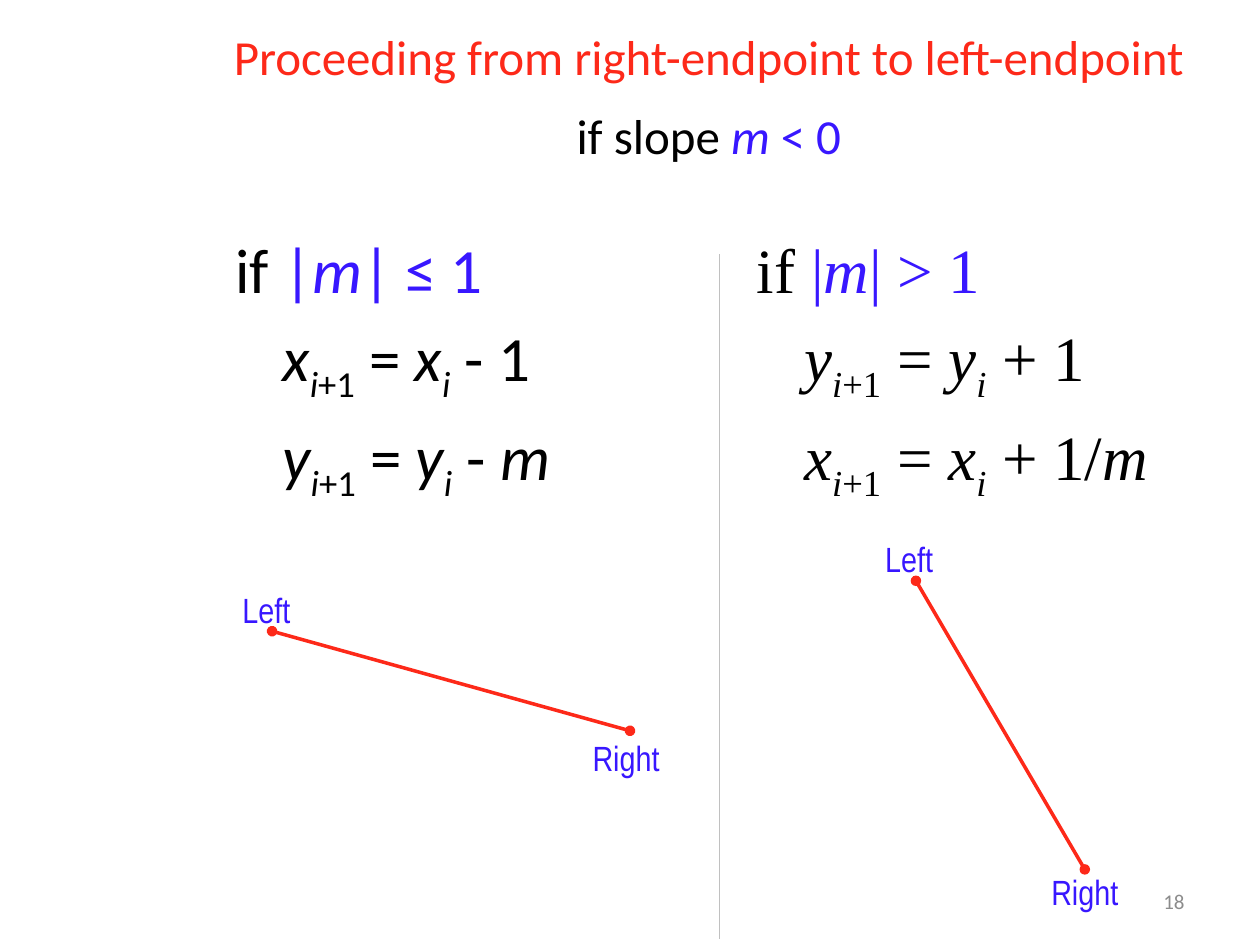
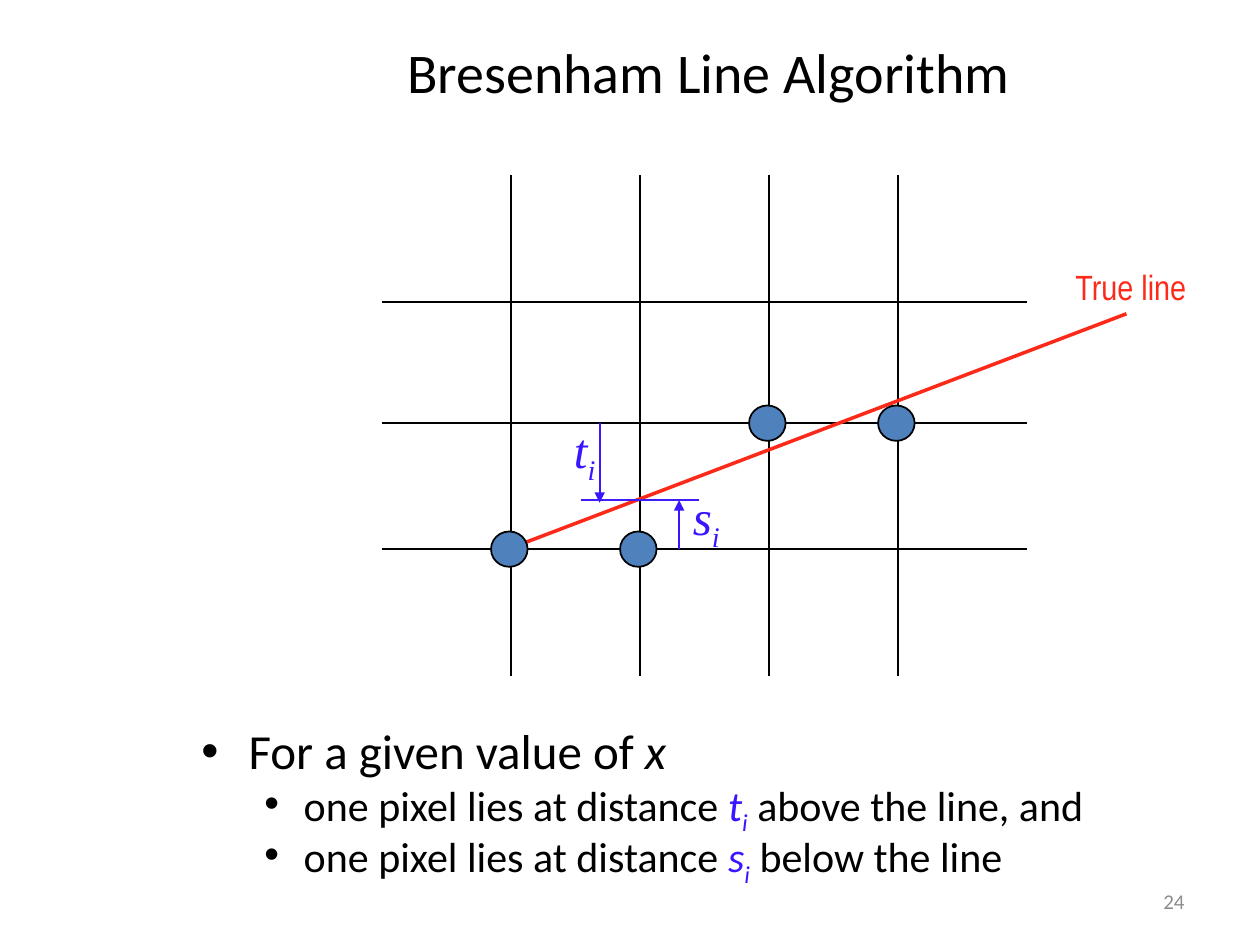
import pptx
import pptx.dml.color
import pptx.enum.shapes
import pptx.enum.text
import pptx.oxml
import pptx.oxml.ns
import pptx.util
from lxml import etree

Pt = pptx.util.Pt
ALIGN = pptx.enum.text.PP_ALIGN
ANCHOR = pptx.enum.text.MSO_ANCHOR
SHAPE = pptx.enum.shapes.MSO_SHAPE

BLACK, RED, BLUE, GREY = "000000", "FD2919", "3817FF", "8C8C8C"
DIVIDER, LEVEL_BLUE, DOT_FILL = "C0C0C0", "3D1EF8", "4F81BD"
BODY_FONT, MATH_FONT, LABEL_FONT = "Calibri", "Times New Roman", "Arial Narrow"
NO_GRID_STYLE = "{2D5ABB26-0587-4C30-8999-92F81FD0307C}"

# Pixel grid of the second slide
GRID_LEFT, GRID_TOP, COLUMN = 218.2, 100, 73.73
ROWS = [72.5, 69.3, 72, 72.7]


def rgb(color):
    """Turn a hex string into a colour."""
    return pptx.dml.color.RGBColor.from_string(color)


def sub(parent, tag, **attrs):
    """Append a drawing element with attributes to a parent."""
    return etree.SubElement(parent, pptx.oxml.ns.qn("a:" + tag), attrs)


def add_runs(p, runs, size, font):
    """Add (text, flags, colour) runs; flag i is italic, s is subscript."""
    for text, flags, color in runs:
        r = p.add_run()
        r.text = text
        r.font.size, r.font.name = Pt(size), font
        r.font.italic = "i" in flags
        r.font.color.rgb = rgb(color)
        if "s" in flags:
            r._r.get_or_add_rPr().set("baseline", "-25000")


def add_box(s, left, top, width, height, anchor=ANCHOR.TOP):
    """Add an empty wrapping text box and return its text frame."""
    tf = s.shapes.add_textbox(Pt(left), Pt(top), Pt(width), Pt(height)).text_frame
    tf.word_wrap = True
    tf.vertical_anchor = anchor
    return tf


def add_paragraph(tf, index, runs, size, font=BODY_FONT, margin=0, indent=0):
    """Fill the paragraph at an index, adding it after the first one."""
    p = tf.paragraphs[0] if index == 0 else tf.add_paragraph()
    pPr = p._p.get_or_add_pPr()
    pPr.set("marL", str(Pt(margin)))
    pPr.set("indent", str(Pt(indent)))
    add_runs(p, runs, size, font)
    return p


def add_title(s, lines, size, height):
    """Add the centred title, one paragraph for each line."""
    tf = add_box(s, 108, 9.4, 594, height, ANCHOR.MIDDLE)
    for i, runs in enumerate(lines):
        p = add_paragraph(tf, i, runs, size)
        p.alignment = ALIGN.CENTER
        p.space_before = Pt(11.5 if i else 0)


def add_page_number(s, number):
    """Add the page number at the bottom right."""
    tf = add_box(s, 516.2, 500.4, 167.8, 28.8, ANCHOR.MIDDLE)
    p = add_paragraph(tf, 0, [(number, "", GREY)], 12)
    p.alignment = ALIGN.RIGHT


def add_label(s, left, top, width, height, runs, size=20, font=LABEL_FONT):
    """Add a centred label that does not wrap."""
    tf = add_box(s, left, top, width, height)
    tf.word_wrap = False
    tf.auto_size = pptx.enum.text.MSO_AUTO_SIZE.SHAPE_TO_FIT_TEXT
    add_paragraph(tf, 0, runs, size, font).alignment = ALIGN.CENTER


def add_line(s, start, end, color, width=1, head=None, tail=None):
    """Add a straight line with optional end marks."""
    c = s.shapes.add_connector(pptx.enum.shapes.MSO_CONNECTOR.STRAIGHT,
                               *map(Pt, start + end))
    c.line.color.rgb = rgb(color)
    c.line.width = Pt(width)
    ln = c.line._get_or_add_ln()
    for tag, mark in (("headEnd", head), ("tailEnd", tail)):
        if mark:
            sub(ln, tag, type=mark)
    sub(c._element.spPr, "effectLst")


def add_dot(s, x, y):
    """Add a pixel dot centred on a point."""
    w, h = 20.9, 20.2
    sp = s.shapes.add_shape(SHAPE.OVAL, Pt(x - w / 2), Pt(y - h / 2), Pt(w), Pt(h))
    sp.shadow.inherit = False
    sp.fill.solid()
    sp.fill.fore_color.rgb = rgb(DOT_FILL)
    sp.line.color.rgb = rgb(BLACK)
    sp.line.width = Pt(1)


def add_grid(s):
    """Add the pixel grid: a table with inner borders only."""
    rows, cols = len(ROWS), 5
    frame = s.shapes.add_table(rows, cols, Pt(GRID_LEFT), Pt(GRID_TOP),
                               Pt(cols * COLUMN), Pt(sum(ROWS)))
    table = frame.table
    table.first_row = table.horz_banding = False
    table._tbl.tblPr[0].text = NO_GRID_STYLE
    for col in table.columns:
        col.width = Pt(COLUMN)
    for i, height in enumerate(ROWS):
        table.rows[i].height = Pt(height)
        for j in range(cols):
            cell = table.cell(i, j)
            tcPr = cell._tc.get_or_add_tcPr()
            inner = {"lnL": j > 0, "lnR": j < cols - 1,
                     "lnT": i > 0, "lnB": i < rows - 1}
            for tag, shown in inner.items():
                ln = sub(tcPr, tag, w=str(Pt(1)))
                if shown:
                    sub(sub(ln, "solidFill"), "srgbClr", val=BLACK)
                else:
                    sub(ln, "noFill")
            cell.fill.background()


def step(var, rest):
    """Return the runs of a recurrence: next var = var plus the rest."""
    runs = [(var, "i"), ("i", "is"), ("+1", "s"), (" = ", ""), (var, "i"), ("i", "is")]
    return [(text, flags, BLACK) for text, flags in runs + rest]


def add_case(s, left, width, font, condition, steps):
    """Add a condition on the slope with its recurrences below."""
    tf = add_box(s, left, 128.2, width, 190)
    head = [("if ", "", BLACK), ("|", "", BLUE), ("m", "i", BLUE),
            (condition, "", BLUE)]
    for i, runs in enumerate([head] + steps):
        p = add_paragraph(tf, i, runs, 36, font, margin=27 if i else 0)
        p.space_before = Pt(7.2)


def add_segment(s, start, end, left_label, right_label):
    """Add a line segment with its named endpoints."""
    add_line(s, start, end, RED, 2, "oval", "oval")
    add_label(s, *left_label, 43.9, 31, [("Left", "", BLUE)])
    add_label(s, *right_label, 57.6, 31, [("Right", "", BLUE)])


def add_bullets(s, items):
    """Add bulleted text from (level, runs) pairs."""
    tf = add_box(s, 108, 411.8, 599.8, 116.6)
    for i, (level, runs) in enumerate(items):
        size, margin, indent = [(28, 27, -27), (24, 58.5, -22.5)][level]
        p = add_paragraph(tf, i, runs, size, margin=margin, indent=indent)
        p.level = level
        p.line_spacing = 0.9
        pPr = p._p.get_or_add_pPr()
        sub(pPr, "buFont", typeface="Arial")
        sub(pPr, "buChar", char="•")


def indexed(var):
    """Return the runs of a blue variable with subscript i."""
    return [(var, "i", BLUE), ("i", "is", BLUE)]


def distance(var, place):
    """Return the runs of a sentence about a pixel distance."""
    return [("one pixel lies at distance ", "", BLACK), *indexed(var),
            (place, "", BLACK)]


def build_slope_slide(s):
    """Build the slide on lines with negative slope."""
    add_title(s, [[("Proceeding from right-endpoint to left-endpoint", "", RED)],
                  [("if slope ", "", BLACK), ("m ", "i", BLUE), ("< 0", "", BLUE)]],
              28, 90)
    add_case(s, 127.4, 277.9, BODY_FONT, "| ≤ 1 ",
             [step("x", [(" - 1", "")]), step("y", [(" - ", ""), ("m", "i")])])
    add_page_number(s, "18")
    add_case(s, 425.5, 263.5, MATH_FONT, "| > 1 ",
             [step("y", [(" + 1", "")]), step("x", [(" + 1/", ""), ("m", "i")])])
    add_segment(s, (155.5, 360.7), (360, 417.6), (130.3, 332.6), (329, 417.6))
    add_segment(s, (523.4, 331.9), (619.9, 496.8), (497.5, 303.8), (591.1, 493.9))
    add_line(s, (411.1, 145.4), (411.1, 536.4), DIVIDER)


def build_algorithm_slide(s):
    """Build the slide with the pixel grid and the true line."""
    add_title(s, [[("Bresenham Line Algorithm", "", BLACK)]], 32, 62.6)
    add_bullets(s, [(0, [("For a given value of ", "", BLACK), ("x", "i", BLACK)]),
                    (1, distance("t", " above the line, and")),
                    (1, distance("s", " below the line"))])
    add_page_number(s, "24")
    add_grid(s)

    upper, lower = GRID_TOP + sum(ROWS[:2]), GRID_TOP + sum(ROWS[:3])
    crossing = 285.8
    add_line(s, (290.2, lower), (643.7, 179.3), RED, 2)
    add_label(s, 602.6, 148.3, 87.1, 31, [("True line", "", RED)])
    add_label(s, 388.1, 274.3, 31, 41, indexed("s"), 28, MATH_FONT)
    add_label(s, 320.4, 236.2, 27.4, 41, indexed("t"), 28, MATH_FONT)
    add_line(s, (331.9, crossing), (399.6, crossing), LEVEL_BLUE)
    add_line(s, (342.7, upper), (342.7, crossing + 1.5), BLUE, tail="triangle")
    add_line(s, (388.1, lower), (388.1, crossing), BLUE, tail="triangle")
    for column, y in enumerate([lower, lower, upper, upper], start=1):
        add_dot(s, GRID_LEFT + column * COLUMN - 0.9, y)


def main():
    """Build and save the presentation."""
    prs = pptx.Presentation()
    prs.slide_width, prs.slide_height = Pt(720), Pt(540)
    for build in (build_slope_slide, build_algorithm_slide):
        build(prs.slides.add_slide(prs.slide_layouts[6]))
    prs.save("out.pptx")


main()
